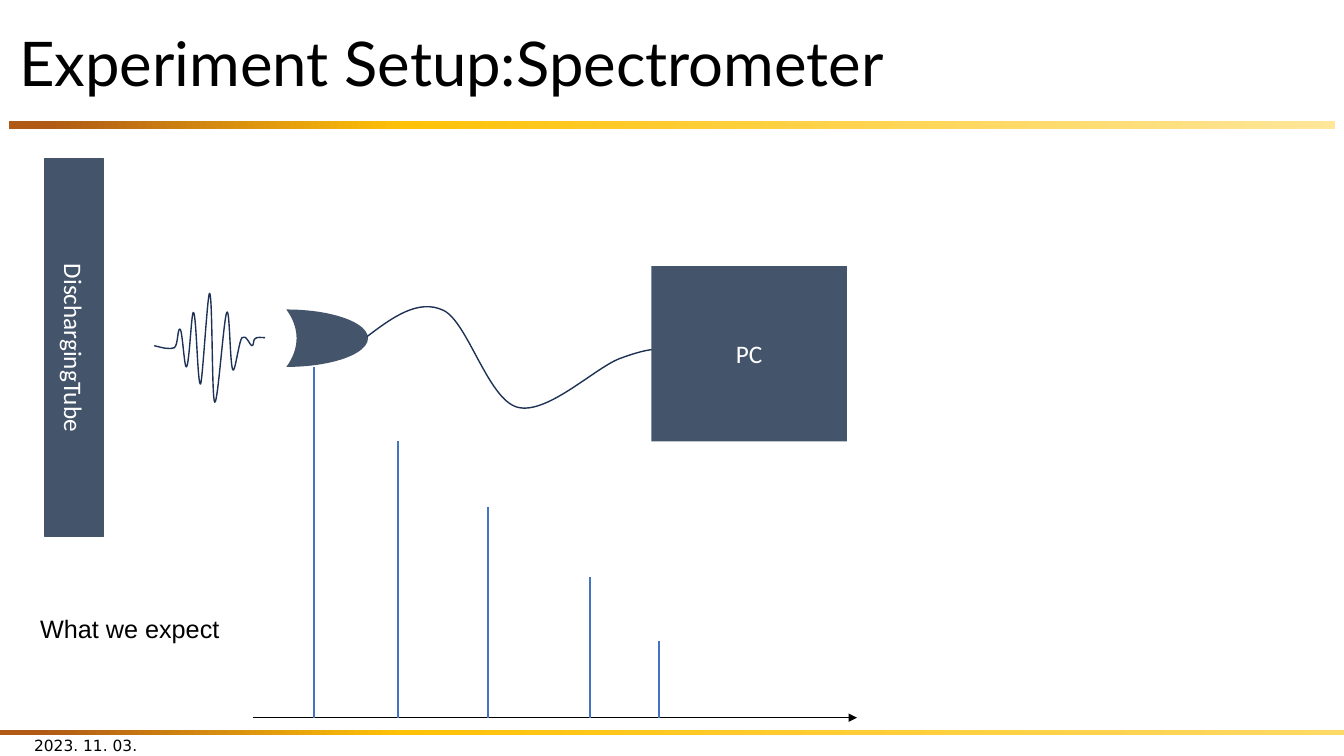
import copy

import pptx
import pptx.dml.color
import pptx.enum.shapes
import pptx.enum.text
import pptx.oxml.ns
import pptx.util
from lxml import etree

Inches = pptx.util.Inches
Pt = pptx.util.Pt
qn = pptx.oxml.ns.qn
SHAPE = pptx.enum.shapes.MSO_SHAPE
ALIGN = pptx.enum.text.PP_ALIGN
ANCHOR = pptx.enum.text.MSO_ANCHOR

COLORS = {
    "text": "000000", "light": "FFFFFF", "device": "44546A",
    "curve": "1E3256", "spectrum": "4472C4",
    "rust": "B05A16", "gold": "FFC208", "pale": "FFE699", "sand": "FFD966",
}

# Bezier curves relative to the diagram box: start, then two controls and an end each
WAVE = [
    (1.23, 1.86),
    (1.31, 1.88), (1.38, 1.90), (1.43, 1.88), (1.47, 1.85), (1.46, 1.66), (1.49, 1.70),
    (1.51, 1.73), (1.53, 2.09), (1.55, 2.07), (1.58, 2.04), (1.60, 1.50), (1.62, 1.53),
    (1.65, 1.56), (1.66, 2.27), (1.69, 2.24), (1.71, 2.21), (1.76, 1.31), (1.78, 1.34),
    (1.81, 1.37), (1.80, 2.39), (1.83, 2.42), (1.86, 2.45), (1.92, 1.58), (1.95, 1.53),
    (1.98, 1.47), (1.98, 2.05), (2.01, 2.10), (2.03, 2.14), (2.07, 1.82), (2.10, 1.78),
    (2.14, 1.74), (2.18, 1.86), (2.20, 1.86), (2.22, 1.86), (2.21, 1.80), (2.23, 1.79),
    (2.25, 1.77), (2.29, 1.78), (2.33, 1.78),
]
FIBER = [
    (3.34, 1.77),
    (3.59, 1.58), (3.85, 1.39), (4.10, 1.51), (4.34, 1.63), (4.54, 2.39), (4.83, 2.47),
    (5.12, 2.55), (5.59, 2.09), (5.84, 1.99), (6.08, 1.90), (6.19, 1.89), (6.29, 1.89),
]
# Spectral lines: distance along the axis, height
SPECTRUM = [(0.6, 3.48), (1.44, 2.74), (2.33, 2.09), (3.34, 1.4), (4.03, 0.76)]


def rgb(name):
    return pptx.dml.color.RGBColor.from_string(COLORS[name])


def write(shape, words, size, font, color="text", align=ALIGN.LEFT, anchor=ANCHOR.MIDDLE):
    frame = shape.text_frame
    frame.word_wrap = True
    frame.vertical_anchor = anchor
    para = frame.paragraphs[0]
    para.text = words
    para.alignment = align
    para.font.size = Pt(size)
    para.font.name = font
    para.font.color.rgb = rgb(color)
    return para


def add_text(page, left, top, width, height, *words, **style):
    box = page.shapes.add_textbox(Inches(left), Inches(top), Inches(width), Inches(height))
    return write(box, *words, **style)


def add_block(page, kind, left, top, width, height, rotation=0):
    block = page.shapes.add_shape(
        kind, Inches(left), Inches(top), Inches(width), Inches(height))
    block.shadow.inherit = False
    block.rotation = rotation
    block.fill.solid()
    block.fill.fore_color.rgb = rgb("device")
    block.line.fill.background()
    return block


def add_rule(page, left, top, width, height, end_color):
    rule = add_block(page, SHAPE.RECTANGLE, left, top, width, height)
    rule.fill.gradient()
    rule.fill.gradient_angle = 0
    stop_list = next(rule._element.spPr.iter(qn("a:gsLst")))
    stop_list.append(copy.deepcopy(stop_list[-1]))
    stops = zip(rule.fill.gradient_stops, (0.03, 0.3, 1), ("rust", "gold", end_color))
    for stop, position, color in stops:
        stop.position = position
        stop.color.rgb = rgb(color)


def add_line(page, start, end, color, width):
    line = page.shapes.add_connector(
        pptx.enum.shapes.MSO_CONNECTOR.STRAIGHT, *map(Inches, start + end))
    line.line.color.rgb = rgb(color)
    line.line.width = Pt(width)
    etree.SubElement(line._element.spPr, qn("a:effectLst"))
    return line


def add_curve(page, left, top, knots):
    """Join every third knot, then bend each segment with the two controls before it."""
    points = [(Inches(left + x), Inches(top + y)) for x, y in knots]
    builder = page.shapes.build_freeform(*points[0])
    builder.add_line_segments(points[3::3], close=False)
    curve = builder.convert_to_shape()
    segments = list(curve._element.spPr.iter(qn("a:lnTo")))
    for i, segment in enumerate(segments):
        segment.tag = qn("a:cubicBezTo")
        for place, (x, y) in enumerate(points[3 * i + 1:3 * i + 3]):
            control = etree.Element(
                qn("a:pt"), x=str(x - curve.left), y=str(y - curve.top))
            segment.insert(place, control)
    curve.shadow.inherit = False
    curve.fill.background()
    curve.line.color.rgb = rgb("curve")
    curve.line.width = Pt(1)


def add_header(page, left, top, width):
    add_rule(page, left, top + 1.03, width, 0.08, "pale")
    para = add_text(page, left, top, width, 0.98,
                    "Experiment Setup:Spectrometer", 44, "Lato")
    para.line_spacing = 0.9


def add_footer(page, left, top, width):
    add_rule(page, left, top, width, 0.05, "sand")
    add_text(page, left + 0.24, top - 0.05, 3, 0.4, "2023. 11. 03.", 11, "DejaVu Sans")


def add_setup(page, left, top):
    # Light source
    tube = add_block(page, SHAPE.RECTANGLE, left - 1.44, top + 1.59, 3.75, 0.58, 90)
    tube.line.color.rgb = rgb("device")
    tube.line.width = Pt(1)
    write(tube, "DischargingTube", 18, "Calibri", "light", ALIGN.CENTER)
    # Emitted light, detector and fiber
    add_curve(page, left, top, WAVE)
    detector = add_block(page, SHAPE.MOON, left + 2.54, top + 1.5, 0.81, 0.57, 180)
    detector.adjustments[0] = 0.875
    add_curve(page, left, top, FIBER)
    # Computer
    computer = add_block(page, SHAPE.RECTANGLE, left + 6.16, top + 1.07, 1.94, 1.74)
    write(computer, "PC", 18, "Calibri", "light", ALIGN.CENTER)


def add_spectrum(page, left, base, width):
    axis = add_line(page, (left, base), (left + width, base), "text", 0.5)
    etree.SubElement(axis.line._get_or_add_ln(), qn("a:tailEnd"), type="triangle")
    for distance, height in SPECTRUM:
        x = left + distance
        add_line(page, (x, base), (x, base - height), "spectrum", 1.5)
    add_text(page, left - 2.21, base - 1.08, 6.76, 0.4,
             "What we expect", 18, "Arial", anchor=ANCHOR.TOP)


def main():
    deck = pptx.Presentation()
    deck.slide_width, deck.slide_height = Inches(13.33), Inches(7.5)
    page = deck.slides.add_slide(deck.slide_layouts[6])
    add_header(page, 0.09, 0.17, 13.15)
    add_footer(page, 0, 7.24, 13.33)
    add_setup(page, 0.3, 1.57)
    add_spectrum(page, 2.51, 7.12, 5.99)
    deck.save("out.pptx")


if __name__ == "__main__":
    main()
